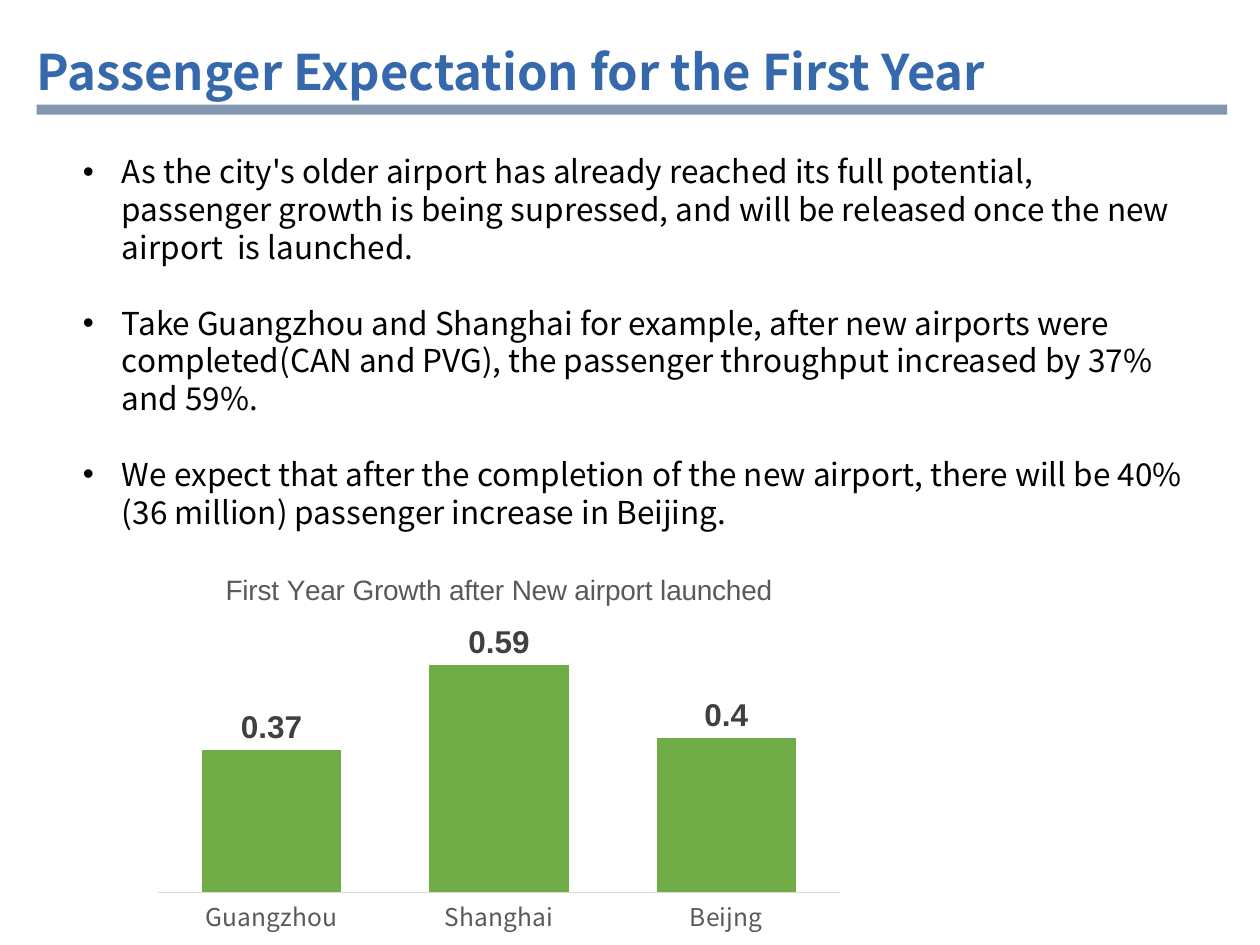
from lxml import etree
from pptx import Presentation
from pptx import util as u
from pptx.chart import data as chart_data
from pptx.dml.color import RGBColor
from pptx.enum import chart as c, shapes, text
from pptx.oxml import ns

BODY_FONT = "Noto Sans CJK SC"


def color(value):
    return RGBColor.from_string(value)


def style(font, name, size, value, bold=False):
    font.name, font.size, font.bold = name, u.Pt(size), bold
    font.color.rgb = color(value)


presentation = Presentation()
presentation.slide_width, presentation.slide_height = u.Inches(10), u.Inches(7.5)
slide = presentation.slides.add_slide(presentation.slide_layouts[6])

# Bulleted statements
statements = [
    "As the city's older airport has already reached its full potential, passenger growth "
    "is being supressed, and will be released once the new airport  is launched.",
    "Take Guangzhou and Shanghai for example, after new airports were completed(CAN and PVG), "
    "the passenger throughput increased by 37% and 59%.",
    "We expect that after the completion of the new airport, there will be 40% (36 million) "
    "passenger increase in Beijing.",
]
body = slide.shapes.add_textbox(u.Inches(0.56), u.Inches(1.16), u.Inches(8.98), u.Inches(3.12))
frame = body.text_frame
frame.word_wrap = True
for index, statement in enumerate(statements):
    paragraph = frame.add_paragraph() if index else frame.paragraphs[0]
    paragraph.line_spacing = u.Pt(21.6)
    if index:
        paragraph.space_before = u.Pt(21.6)
    properties = paragraph._p.get_or_add_pPr()
    properties.set("marL", str(u.Inches(0.31)))
    properties.set("indent", str(-u.Inches(0.31)))
    etree.SubElement(properties, ns.qn("a:buFont")).set("typeface", "Arial")
    etree.SubElement(properties, ns.qn("a:buChar")).set("char", "•")
    run = paragraph.add_run()
    run.text = statement
    style(run.font, BODY_FONT, 18, "000000")

# Rule under the title
rule = slide.shapes.add_shape(shapes.MSO_SHAPE.RECTANGLE, u.Inches(0.29), u.Inches(0.83),
                              u.Inches(9.45), u.Inches(0.08))
rule.shadow.inherit = False
rule.fill.solid()
rule.fill.fore_color.rgb = color("8296B0")
rule.line.fill.background()

# Title
title = slide.shapes.add_textbox(u.Inches(0.29), u.Inches(0.35), u.Inches(8.31), u.Inches(0.42))
frame = title.text_frame
frame.word_wrap = True
frame.vertical_anchor = text.MSO_ANCHOR.MIDDLE
frame.margin_left = frame.margin_right = frame.margin_top = frame.margin_bottom = 0
run = frame.paragraphs[0].add_run()
run.text = "Passenger Expectation for the First Year"
style(run.font, BODY_FONT, 28, "3669AB", True)

# Growth chart
growth = chart_data.CategoryChartData()
growth.categories = ["Guangzhou", "Shanghai", "Beijng"]
growth.add_series("Series 1", [0.37, 0.59, 0.4])
chart = slide.shapes.add_chart(c.XL_CHART_TYPE.COLUMN_CLUSTERED, u.Inches(1.14), u.Inches(4.39),
                               u.Inches(5.64), u.Inches(3.06), growth).chart
style(chart.font, "Calibri", 10, "000000")
chart.has_legend = False
chart.has_title = True
run = chart.chart_title.text_frame.paragraphs[0].add_run()
run.text = "First Year Growth after New airport launched"
style(run.font, "Arial", 16, "595959")

category_axis = chart.category_axis
category_axis.major_tick_mark = c.XL_TICK_MARK.NONE
category_axis.format.line.color.rgb = color("D9D9D9")
category_axis.format.line.width = u.Pt(0.75)
style(category_axis.tick_labels.font, BODY_FONT, 14, "595959")

value_axis = chart.value_axis
value_axis.visible = False
value_axis.has_major_gridlines = False
value_axis.minimum_scale, value_axis.maximum_scale = 0, 0.7

plot = chart.plots[0]
plot.gap_width, plot.overlap, plot.vary_by_categories = 63, -55, False
series = plot.series[0]
series.format.fill.solid()
series.format.fill.fore_color.rgb = color("70AD47")
labels = series.data_labels
labels.show_value = True
labels.position = c.XL_LABEL_POSITION.OUTSIDE_END
labels.number_format, labels.number_format_is_linked = "General", False
style(labels.font, "Arial", 18, "404040", True)

# Plot area as shares of the chart
plot_area = chart._chartSpace.chart.plotArea
for old in plot_area.findall(ns.qn("c:layout")):
    plot_area.remove(old)
layout = etree.Element(ns.qn("c:layout"))
plot_area.insert(0, layout)
manual = etree.SubElement(layout, ns.qn("c:manualLayout"))
for tag, value in [("layoutTarget", "inner"), ("xMode", "edge"), ("yMode", "edge"),
                   ("x", "0.02"), ("y", "0.18"), ("w", "0.96"), ("h", "0.7")]:
    etree.SubElement(manual, ns.qn("c:" + tag)).set("val", value)

presentation.save("out.pptx")
